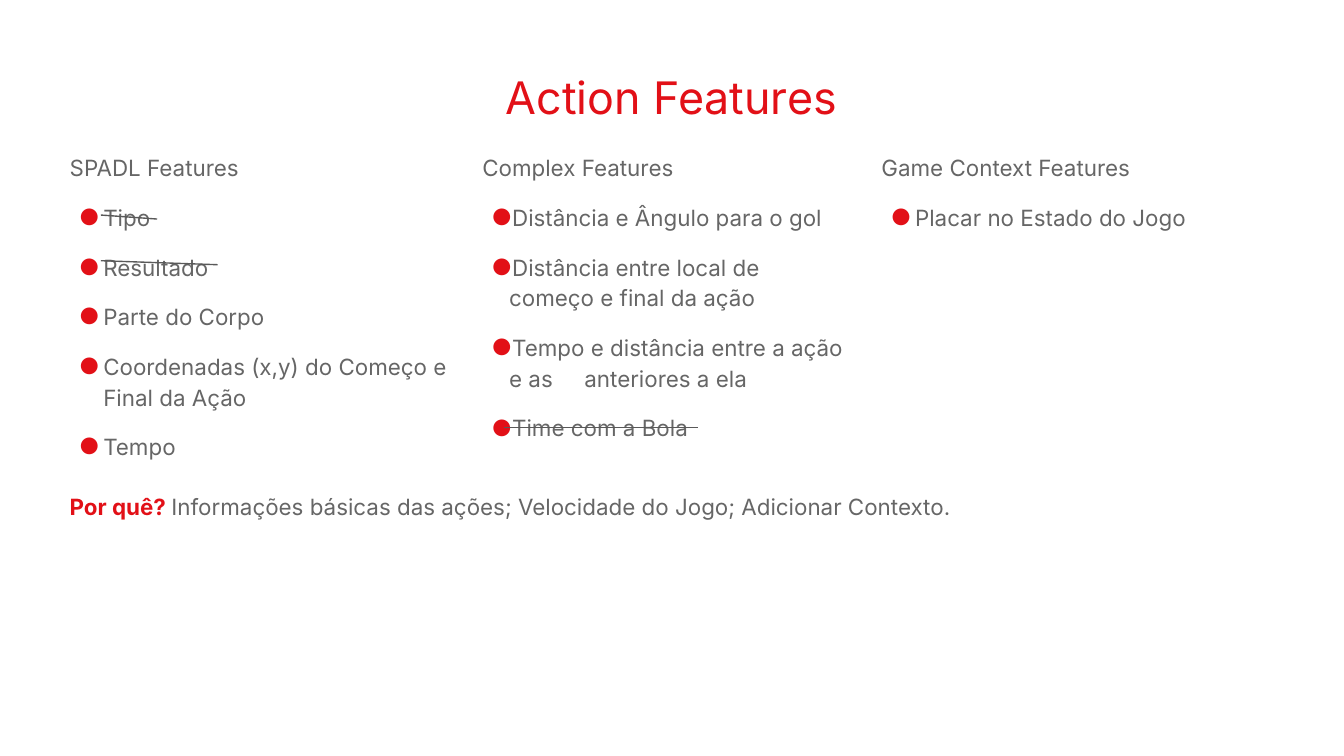
"""Build the Action Features slide: three bulleted columns with struck-out items."""
import dataclasses
import typing

import lxml.etree
import pptx
import pptx.dml.color
import pptx.enum.shapes
import pptx.enum.text
import pptx.oxml.ns
import pptx.util

Inches = pptx.util.Inches
Pt = pptx.util.Pt
FONT = "Inter"
RED = "E21017"
GRAY = "666666"
LINE_GRAY = "595959"
MARGINS = ("margin_left", "margin_top", "margin_right", "margin_bottom")


class Span(typing.NamedTuple):
    text: str
    color: str = GRAY
    size: float = 12
    bold: bool = False
    spacing: float = 0


@dataclasses.dataclass
class Column:
    left: float
    width: float
    height: float
    heading: str
    items: list[list[Span]]
    indent: float = 0.25
    hanging: float = 0.18


class Strike(typing.NamedTuple):
    left: float
    top: float
    right: float
    bottom: float


COLUMNS = [
    Column(3.49, 2.91, 2.36, "Complex Features", [
        [Span("Distância e Ângulo para o gol")],
        [Span("Distância entre local de começo e final da ação")],
        [Span("Tempo e distância entre a ação e as"), Span(" ", spacing=13.5), Span("anteriores a ela")],
        [Span("Time com a Bola")],
    ], 0.2, 0.13),
    Column(0.42, 3.02, 2.5, "SPADL Features", [
        [Span("Tipo")],
        [Span("Resultado")],
        [Span("Parte do Corpo")],
        [Span("Coordenadas (x,y) do Começo e Final da Ação")],
        [Span("Tempo")],
    ]),
    Column(6.46, 3.12, 0.78, "Game Context Features", [[Span("Placar no Estado do Jogo")]]),
]
STRIKES = [
    Strike(0.75, 1.94, 1.62, 1.97),
    Strike(0.75, 1.6, 1.17, 1.63),
    Strike(3.75, 3.18, 5.19, 3.18),
]


def rgb(value: str) -> pptx.dml.color.RGBColor:
    return pptx.dml.color.RGBColor.from_string(value)


def apply(target: typing.Any, values: dict[str, typing.Any]) -> None:
    for name, value in values.items():
        setattr(target, name, value)


def add_element(parent: typing.Any, tag: str, **attributes: str) -> typing.Any:
    return lxml.etree.SubElement(parent, pptx.oxml.ns.qn(tag), attributes)


def add_box(page: typing.Any, left: float, top: float, width: float, height: float) -> typing.Any:
    box = page.shapes.add_textbox(Inches(left), Inches(top), Inches(width), Inches(height))
    apply(box.text_frame, {
        "word_wrap": True,
        "auto_size": pptx.enum.text.MSO_AUTO_SIZE.SHAPE_TO_FIT_TEXT,
        **dict.fromkeys(MARGINS, Inches(0.1)),
    })
    return box.text_frame


def write(para: typing.Any, spans: list[Span], **values: typing.Any) -> None:
    apply(para, values)
    for span in spans:
        run = para.add_run()
        run.text = span.text
        apply(run.font, {"name": FONT, "size": Pt(span.size), "bold": span.bold})
        run.font.color.rgb = rgb(span.color)
        if span.spacing:
            run.font._element.set("spc", str(round(span.spacing * 100)))


def add_bullet(para: typing.Any, indent: float, hanging: float) -> None:
    properties = para._p.get_or_add_pPr()
    properties.set("marL", str(Inches(indent)))
    properties.set("indent", str(-Inches(hanging)))
    add_element(add_element(properties, "a:buClr"), "a:srgbClr", val=RED)
    add_element(properties, "a:buFont", typeface=FONT)
    add_element(properties, "a:buChar", char="●")


def draw_column(page: typing.Any, column: Column) -> None:
    frame = add_box(page, column.left, 1.02, column.width, column.height)
    write(frame.paragraphs[0], [Span(column.heading)], line_spacing=1.15)
    for item in column.items:
        para = frame.add_paragraph()
        add_bullet(para, column.indent, column.hanging)
        write(para, item, line_spacing=1.15, space_before=Pt(10))
    para.space_after = Pt(10)


def draw_strike(page: typing.Any, strike: Strike) -> None:
    line = page.shapes.add_connector(pptx.enum.shapes.MSO_CONNECTOR.STRAIGHT, *map(Inches, strike))
    line.line.color.rgb = rgb(LINE_GRAY)
    line.line.width = Pt(0.75)
    add_element(line._element.spPr, "a:effectLst")


def main() -> None:
    deck = pptx.Presentation()
    apply(deck, {"slide_width": Inches(10), "slide_height": Inches(10 * 9 / 16)})
    page = deck.slides.add_slide(deck.slide_layouts[6])
    for column in COLUMNS:
        draw_column(page, column)
    title = add_box(page, 0.96, 0.42, 8.07, 0.61)
    write(title.paragraphs[0], [Span("Action Features", RED, 24)],
          alignment=pptx.enum.text.PP_ALIGN.CENTER)
    reason = add_box(page, 0.42, 3.54, 9.17, 0.4)
    write(reason.paragraphs[0], [
        Span("Por quê? ", RED, bold=True),
        Span("Informações básicas das ações; Velocidade do Jogo; Adicionar Contexto."),
    ], line_spacing=1.15, space_after=Pt(10))
    for strike in STRIKES:
        draw_strike(page, strike)
    deck.save("out.pptx")


if __name__ == "__main__":
    main()
